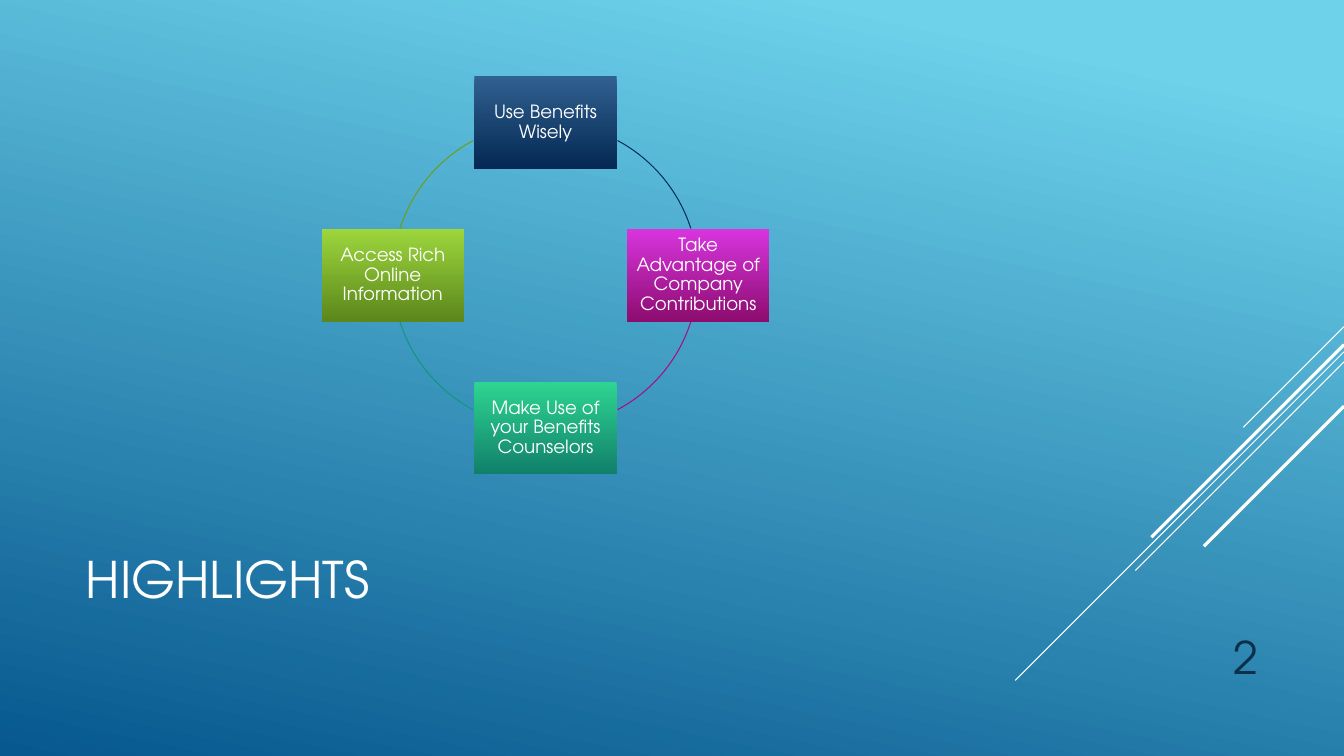
"""Build the Highlights slide: four benefit boxes on a cycle."""
import math

import lxml.etree
import pptx
import pptx.dml.color
import pptx.enum.shapes
import pptx.enum.text
import pptx.oxml.ns
import pptx.util

INCH = pptx.util.Inches
ALIGN = pptx.enum.text.PP_ALIGN
ANCHOR = pptx.enum.text.MSO_ANCHOR
SHAPE = pptx.enum.shapes.MSO_SHAPE


def colour(value):
    return pptx.dml.color.RGBColor.from_string(value)


def format_text(shape, text, size, tint, align, anchor):
    frame = shape.text_frame
    frame.text = text
    frame.word_wrap = True
    frame.auto_size = pptx.enum.text.MSO_AUTO_SIZE.NONE
    frame.vertical_anchor = anchor
    para = frame.paragraphs[0]
    para.alignment = align
    font = para.runs[0].font
    font.name = "TeX Gyre Adventor"
    font.size = pptx.util.Pt(size)
    font.color.rgb = colour(tint)
    return frame


deck = pptx.Presentation()
deck.slide_width, deck.slide_height = INCH(13.33), INCH(7.5)
page = deck.slides.add_slide(deck.slide_layouts[5])

backdrop = page.background.fill
backdrop.gradient()
backdrop.gradient_angle = 258
for stop, position, tint in zip(backdrop.gradient_stops, (0.1, 1), ("6ED2EB", "06588E")):
    stop.position = position
    stop.color.rgb = colour(tint)

right_edge = 13.33
diagonals = [(3.24, 1, 0.75), (3.49, 3.26, 0.75), (3.59, 2.07, 0.75),
             (3.42, 1.91, 2.25), (4.03, 1.39, 2.25)]
for top, run, weight in diagonals:
    diagonal = page.shapes.add_connector(
        pptx.enum.shapes.MSO_CONNECTOR.STRAIGHT,
        INCH(right_edge), INCH(top), INCH(right_edge - run), INCH(top + run))
    diagonal.line.color.rgb = colour("FFFFFF")
    diagonal.line.width = pptx.util.Pt(weight)
    lxml.etree.SubElement(diagonal.element.spPr, pptx.oxml.ns.qn("a:effectLst"))

title = page.shapes.title
title.left, title.top, title.width, title.height = map(INCH, (0.75, 4.91, 9.33, 1.65))
format_text(title, "HIGHLIGHTS", 36, "FFFFFF", ALIGN.LEFT, ANCHOR.MIDDLE)

center_x, center_y, radius = 5.41, 2.73, 1.515
box_width, box_height = 1.41, 0.92
arc_start, arc_end = 17.8, 61.8
steps = [
    ("Use Benefits Wisely", "316190", "042853", "052F61"),
    ("Take Advantage of Company Contributions", "D835DF", "8D0C6F", "A50E82"),
    ("Make Use of your Benefits Counselors", "2ED592", "11806A", "14967C"),
    ("Access Rich Online Information", "9DD63D", "5B871B", "6A9E1F"),
]
for index, (label, light, dark, arc_tint) in enumerate(steps):
    angle = math.radians(90 * index - 90)
    box = page.shapes.add_shape(
        SHAPE.RECTANGLE,
        INCH(center_x + radius * math.cos(angle) - box_width / 2),
        INCH(center_y + radius * math.sin(angle) - box_height / 2),
        INCH(box_width), INCH(box_height))
    box.shadow.inherit = False
    box.line.fill.background()
    box.fill.gradient()
    box.fill.gradient_angle = 270
    for stop, tint in zip(box.fill.gradient_stops, (light, dark)):
        stop.color.rgb = colour(tint)
    frame = format_text(box, label, 13, "FFFFFF", ALIGN.CENTER, ANCHOR.MIDDLE)
    frame.margin_left = frame.margin_right = INCH(0.05)
    frame.margin_top = frame.margin_bottom = INCH(0.05)
    frame.paragraphs[0].line_spacing = 0.9

    arc = page.shapes.add_shape(
        SHAPE.ARC, INCH(center_x - radius), INCH(center_y - radius),
        INCH(2 * radius), INCH(2 * radius))
    arc.shadow.inherit = False
    arc.fill.background()
    arc.line.color.rgb = colour(arc_tint)
    arc.line.width = pptx.util.Pt(0.75)
    if index % 2:
        sweep = arc_start, arc_end
    else:
        sweep = 90 - arc_end, 90 - arc_start
    quarter = 90 * ((index + 3) % 4)
    for handle, degrees in enumerate(sweep):
        arc.adjustments[handle] = (quarter + degrees) * 0.6

number = page.shapes.add_textbox(INCH(11.33), INCH(6.1), INCH(1.25), INCH(0.73))
format_text(number, "2", 32, "0A304A", ALIGN.RIGHT, ANCHOR.BOTTOM)

deck.save("out.pptx")
